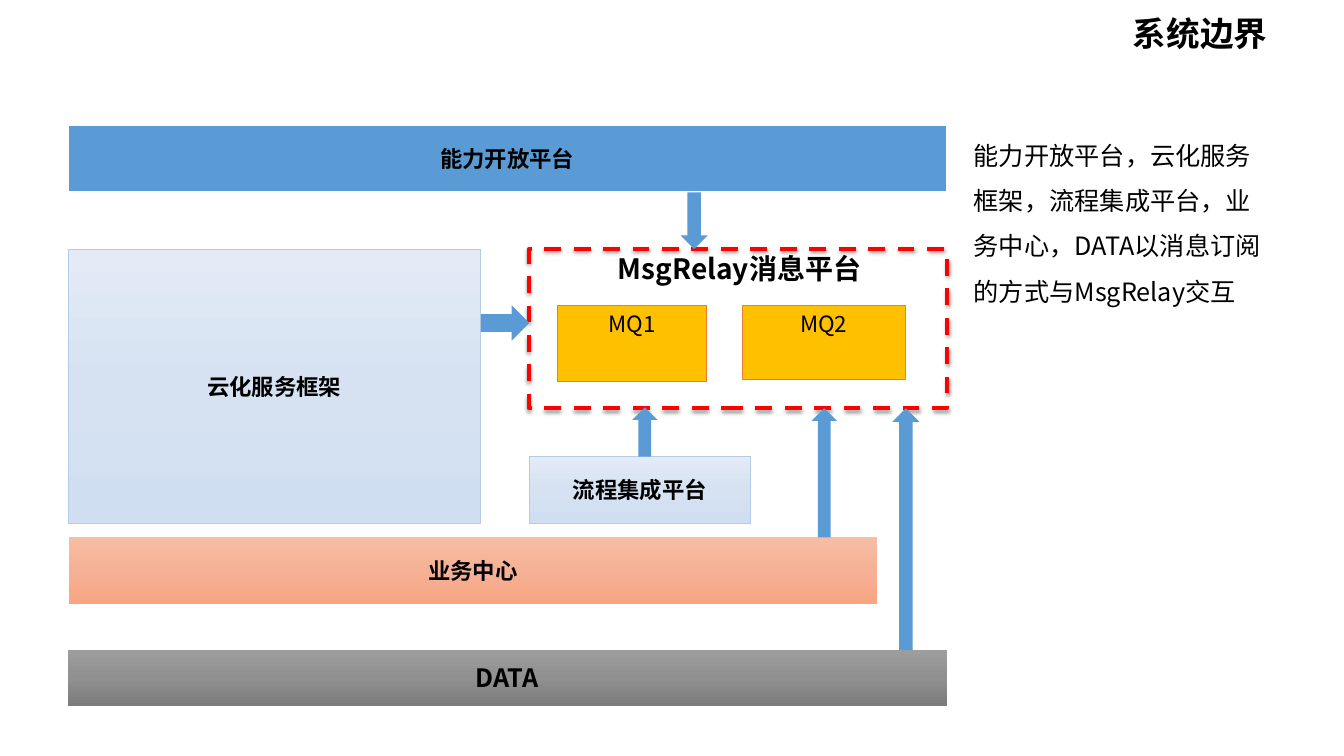
from lxml import etree
from copy import deepcopy
from pptx import Presentation
from pptx.dml.color import RGBColor
from pptx.enum.dml import MSO_LINE_DASH_STYLE as Dash
from pptx.enum.shapes import MSO_SHAPE as Shape
from pptx.enum.text import MSO_ANCHOR as Anchor, MSO_AUTO_SIZE as AutoSize, PP_ALIGN as Align
from pptx.oxml import parse_xml
from pptx.oxml.ns import nsdecls, qn
from pptx.util import Inches, Pt

FONT = "Noto Sans CJK SC"
TITLE_ONLY = 5
BLACK = RGBColor(0, 0, 0)
WHITE = RGBColor(255, 255, 255)
RED = RGBColor(255, 0, 0)
BLUE = RGBColor(0x5B, 0x9B, 0xD5)
AMBER = RGBColor(0xFF, 0xC0, 0x00)
ORANGE = RGBColor(0xED, 0x7D, 0x31)
PALE_EDGE = RGBColor(0xB5, 0xCB, 0xE7)
PALE_BLUES = RGBColor(0xE3, 0xEB, 0xF6), RGBColor(0xD6, 0xE2, 0xF2), RGBColor(0xD0, 0xDE, 0xF1)
SALMONS = RGBColor(0xF7, 0xBD, 0xA5), RGBColor(0xF5, 0xB1, 0x96), RGBColor(0xF8, 0xA5, 0x82)
GREYS = RGBColor(0x9D, 0x9D, 0x9D), RGBColor(0x90, 0x90, 0x90), RGBColor(0x7C, 0x7C, 0x7C)


def set_attributes(target, values):
    for name, value in values.items():
        setattr(target, name, value)


def write_text(shape, text, size, bold=False, frame_format=None, paragraph_format=None):
    frame = shape.text_frame
    set_attributes(frame, frame_format or {})
    paragraph = frame.paragraphs[0]
    set_attributes(paragraph, paragraph_format or {})
    run = paragraph.add_run()
    run.text = text
    set_attributes(run.font, {"name": FONT, "size": Pt(size), "bold": bold})
    run.font.color.rgb = BLACK
    east_asian = etree.SubElement(run.font._element, qn("a:ea"))
    east_asian.set("typeface", FONT)


def paint_gradient(shape, colors):
    fill = shape.fill
    fill.gradient()
    fill.gradient_angle = 270
    stop_list = shape._element.spPr.find(".//" + qn("a:gsLst"))
    stop_list.insert(1, deepcopy(stop_list[0]))
    for stop, color, position in zip(fill.gradient_stops, colors, (0, 0.5, 1)):
        stop.color.rgb = color
        stop.position = position


def add_block(slide, kind, box, fill=None, line=None, width=0.5):
    shape = slide.shapes.add_shape(kind, *map(Inches, box))
    shape.shadow.inherit = False
    if kind == Shape.ROUNDED_RECTANGLE:
        shape.adjustments[0] = 0
    if fill is None:
        shape.fill.background()
    elif isinstance(fill, RGBColor):
        shape.fill.solid()
        shape.fill.fore_color.rgb = fill
    else:
        paint_gradient(shape, fill)
    if line is None:
        shape.line.fill.background()
    else:
        shape.line.color.rgb = line
        shape.line.width = Pt(width)
    return shape


def add_system(slide, text, box, fill, line=None, width=0.5, size=16):
    shape = add_block(slide, Shape.ROUNDED_RECTANGLE, box, fill, line, width)
    write_text(shape, text, size, True, {"vertical_anchor": Anchor.MIDDLE, "word_wrap": False},
               {"alignment": Align.CENTER})


def add_queue(slide, text, box):
    shape = add_block(slide, Shape.ROUNDED_RECTANGLE, box, AMBER, ORANGE)
    write_text(shape, text, 16, False, {"vertical_anchor": Anchor.TOP}, {"alignment": Align.CENTER})


def add_label(slide, text, box, size, bold=False, line_spacing=None):
    label = slide.shapes.add_textbox(*map(Inches, box))
    write_text(label, text, size, bold,
               {"word_wrap": True, "auto_size": AutoSize.SHAPE_TO_FIT_TEXT},
               {"line_spacing": line_spacing})


def add_boundary(slide, box):
    boundary = add_block(slide, Shape.RECTANGLE, box, None, RED, 3)
    boundary.line.dash_style = Dash.DASH
    effects = boundary._element.spPr.find(qn("a:effectLst"))
    effects.append(parse_xml(
        f'<a:outerShdw {nsdecls("a")} blurRad="{Pt(3.1)}" dist="{Pt(1.6)}" dir="5400000" '
        'rotWithShape="0"><a:srgbClr val="000000"><a:alpha val="38000"/></a:srgbClr></a:outerShdw>'))


def add_title(slide, text):
    title = slide.shapes.title
    set_attributes(title, {"left": Inches(0.67), "top": Inches(0),
                           "width": Inches(12), "height": Inches(0.66)})
    write_text(title, text, 24, True, {"vertical_anchor": Anchor.MIDDLE}, {"alignment": Align.RIGHT})


def main():
    presentation = Presentation()
    set_attributes(presentation, {"slide_width": Inches(13.33), "slide_height": Inches(7.5)})
    slide = presentation.slides.add_slide(presentation.slide_layouts[TITLE_ONLY])
    add_title(slide, "系统边界")

    add_queue(slide, "MQ1", (5.53, 3.03, 1.48, 0.75))
    add_label(slide, "MsgRelay消息平台", (6.03, 2.45, 3.08, 0.44), 20, True)
    add_queue(slide, "MQ2", (7.36, 3.03, 1.62, 0.73))
    add_boundary(slide, (5.25, 2.47, 4.14, 1.58))

    add_system(slide, "能力开放平台", (0.67, 1.24, 8.72, 0.67), BLUE, WHITE, 1.5)
    add_system(slide, "DATA", (0.67, 6.45, 8.72, 0.55), GREYS, size=18)
    add_system(slide, "云化服务框架", (0.68, 2.47, 4.08, 2.72), PALE_BLUES, PALE_EDGE)
    add_system(slide, "业务中心", (0.68, 5.33, 8.02, 0.66), SALMONS)
    add_system(slide, "流程集成平台", (5.25, 4.53, 2.19, 0.66), PALE_BLUES, PALE_EDGE)

    for kind, box in (
        (Shape.DOWN_ARROW, (6.75, 1.91, 0.27, 0.56)),
        (Shape.RIGHT_ARROW, (4.77, 3.03, 0.48, 0.35)),
        (Shape.UP_ARROW, (6.27, 4.04, 0.25, 0.49)),
        (Shape.UP_ARROW, (8.05, 4.05, 0.25, 1.28)),
        (Shape.UP_ARROW, (8.85, 4.05, 0.27, 2.4)),
    ):
        add_block(slide, kind, box, BLUE)

    add_label(slide, "能力开放平台，云化服务框架，流程集成平台，业务中心，DATA以消息订阅的方式与MsgRelay交互",
              (9.56, 1.19, 3.17, 1.92), 18, line_spacing=1.5)
    presentation.save("out.pptx")


if __name__ == "__main__":
    main()
